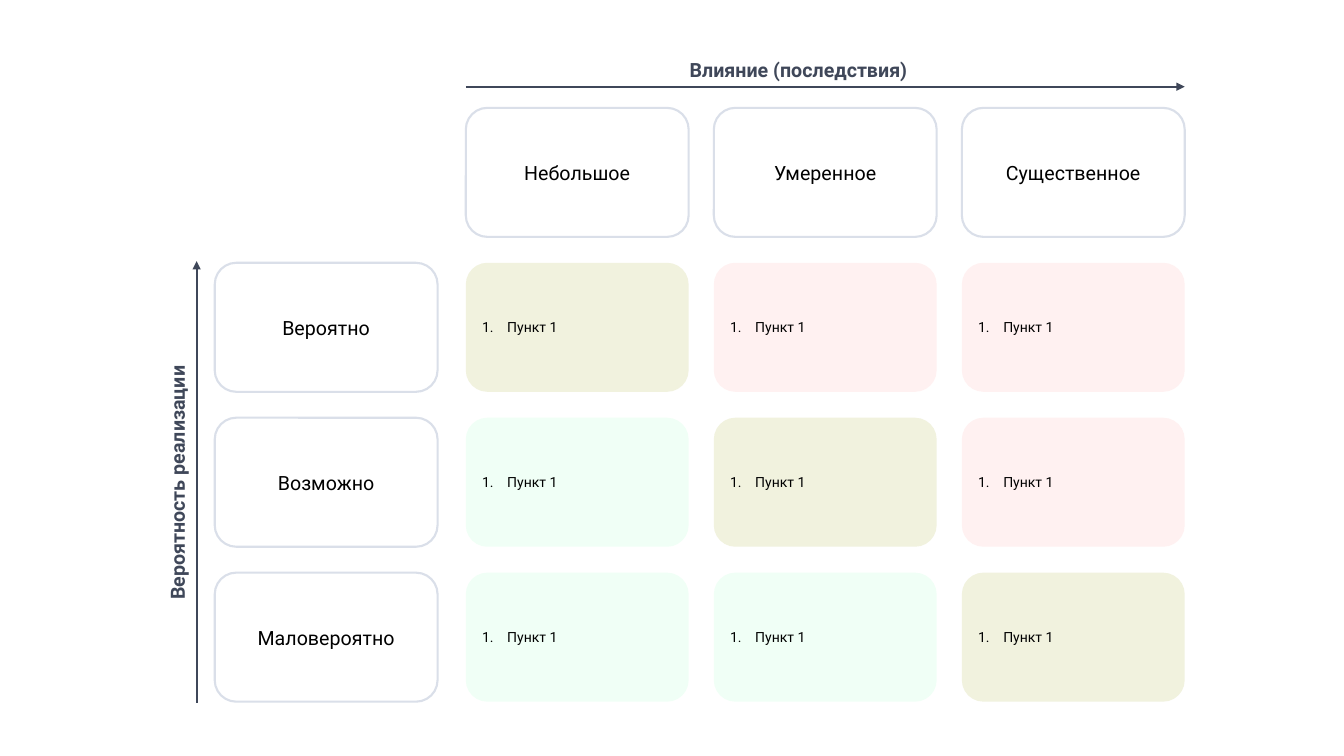
from lxml import etree
from pptx import Presentation
from pptx.dml.color import RGBColor
from pptx.enum.shapes import MSO_CONNECTOR, MSO_SHAPE
from pptx.enum.text import MSO_ANCHOR, MSO_AUTO_SIZE, PP_ALIGN
from pptx.oxml.ns import qn
from pptx.util import Inches, Pt

ROUNDED = MSO_SHAPE.ROUNDED_RECTANGLE
STRAIGHT = MSO_CONNECTOR.STRAIGHT
MIDDLE = MSO_ANCHOR.MIDDLE
GROW = MSO_AUTO_SIZE.SHAPE_TO_FIT_TEXT
CENTER, LEFT = PP_ALIGN.CENTER, PP_ALIGN.LEFT

# Content
IMPACT_AXIS = "Влияние (последствия)"
LIKELIHOOD_AXIS = "Вероятность реализации"
IMPACTS = ["Небольшое", "Умеренное", "Существенное"]
RISKS = [
    ("Вероятно", [("medium", "Пункт 1"), ("high", "Пункт 1"), ("high", "Пункт 1")]),
    ("Возможно", [("low", "Пункт 1"), ("medium", "Пункт 1"), ("high", "Пункт 1")]),
    ("Маловероятно", [("low", "Пункт 1"), ("low", "Пункт 1"), ("medium", "Пункт 1")]),
]

# Style
LEVEL_FILLS = {"low": "F0FFF6", "medium": "F1F2DE", "high": "FFF1F1"}
AXIS_COLOR, BORDER_COLOR = "3F4759", "DADFE9"
HEADER_FONT = {"name": "Roboto", "size": Pt(14), "bold": False}
ITEM_FONT = {"name": "Roboto", "size": Pt(10), "bold": False}
AXIS_FONT = {"name": "Roboto", "size": Pt(14), "bold": True}
LINE_WIDTH = Pt(1.5)

# Grid in inches
HEADER_LEFT, GRID_LEFT, GRID_TOP = 2.13, 4.62, 1.07
CELL_WIDTH, CELL_HEIGHT = 2.21, 1.28
COLUMN_STEP, ROW_STEP = 2.46, 1.537
GRID_RIGHT = GRID_LEFT + 2 * COLUMN_STEP + CELL_WIDTH
IMPACT_Y, LIKELIHOOD_X = 0.86, 1.95
LABEL_WIDTH, LABEL_HEIGHT = 3.08, 0.3


def rgb(value):
    return RGBColor.from_string(value)


def write(frame, text, font, color, align):
    para = frame.paragraphs[0]
    para.alignment = align
    span = para.add_run()
    span.text = text
    for name, value in font.items():
        setattr(span.font, name, value)
    span.font.color.rgb = rgb(color)
    return para


def number(para):
    properties = para._p.get_or_add_pPr()
    properties.set("marL", str(Inches(0.25)))
    properties.set("indent", str(-Inches(0.25)))
    etree.SubElement(properties, qn("a:buFont"), typeface="+mj-lt")
    etree.SubElement(properties, qn("a:buAutoNum"), type="arabicPeriod")


def add_cell(left, row, text, font, align, fill=None):
    top = GRID_TOP + row * ROW_STEP
    box = slide.shapes.add_shape(
        ROUNDED, *map(Inches, (left, top, CELL_WIDTH, CELL_HEIGHT)))
    box.shadow.inherit = False
    if fill:
        box.fill.solid()
        box.fill.fore_color.rgb = rgb(fill)
        box.line.fill.background()
    else:
        box.fill.background()
        box.line.color.rgb = rgb(BORDER_COLOR)
        box.line.width = LINE_WIDTH
    box.text_frame.word_wrap = True
    box.text_frame.vertical_anchor = MIDDLE
    return write(box.text_frame, text, font, "000000", align)


def add_axis(start, end, text, label_center, rotation=0):
    arrow = slide.shapes.add_connector(STRAIGHT, *map(Inches, start + end))
    arrow.line.color.rgb = rgb(AXIS_COLOR)
    arrow.line.width = LINE_WIDTH
    etree.SubElement(arrow.line._get_or_add_ln(), qn("a:tailEnd"), type="triangle")
    etree.SubElement(arrow._element.spPr, qn("a:effectLst"))

    center_x, center_y = label_center
    label = slide.shapes.add_textbox(
        Inches(center_x - LABEL_WIDTH / 2), Inches(center_y - LABEL_HEIGHT / 2),
        Inches(LABEL_WIDTH), Inches(LABEL_HEIGHT))
    label.rotation = rotation
    label.text_frame.word_wrap = True
    label.text_frame.auto_size = GROW
    write(label.text_frame, text, AXIS_FONT, AXIS_COLOR, CENTER)


deck = Presentation()
deck.slide_width, deck.slide_height = Inches(13.33), Inches(7.5)
slide = deck.slides.add_slide(deck.slide_layouts[6])

# Axes
add_axis((GRID_LEFT, IMPACT_Y), (GRID_RIGHT, IMPACT_Y), IMPACT_AXIS, (7.92, 0.68))
add_axis((LIKELIHOOD_X, 6.97), (LIKELIHOOD_X, 2.59), LIKELIHOOD_AXIS, (1.74, 4.79), 270)

# Column headers
columns = [GRID_LEFT + index * COLUMN_STEP for index in range(len(IMPACTS))]
for left, impact in zip(columns, IMPACTS):
    add_cell(left, 0, impact, HEADER_FONT, CENTER)

# Row headers and risk cells
for row, (likelihood, cells) in enumerate(RISKS, start=1):
    add_cell(HEADER_LEFT, row, likelihood, HEADER_FONT, CENTER)
    for left, (level, item) in zip(columns, cells):
        number(add_cell(left, row, item, ITEM_FONT, LEFT, LEVEL_FILLS[level]))

deck.save("out.pptx")
